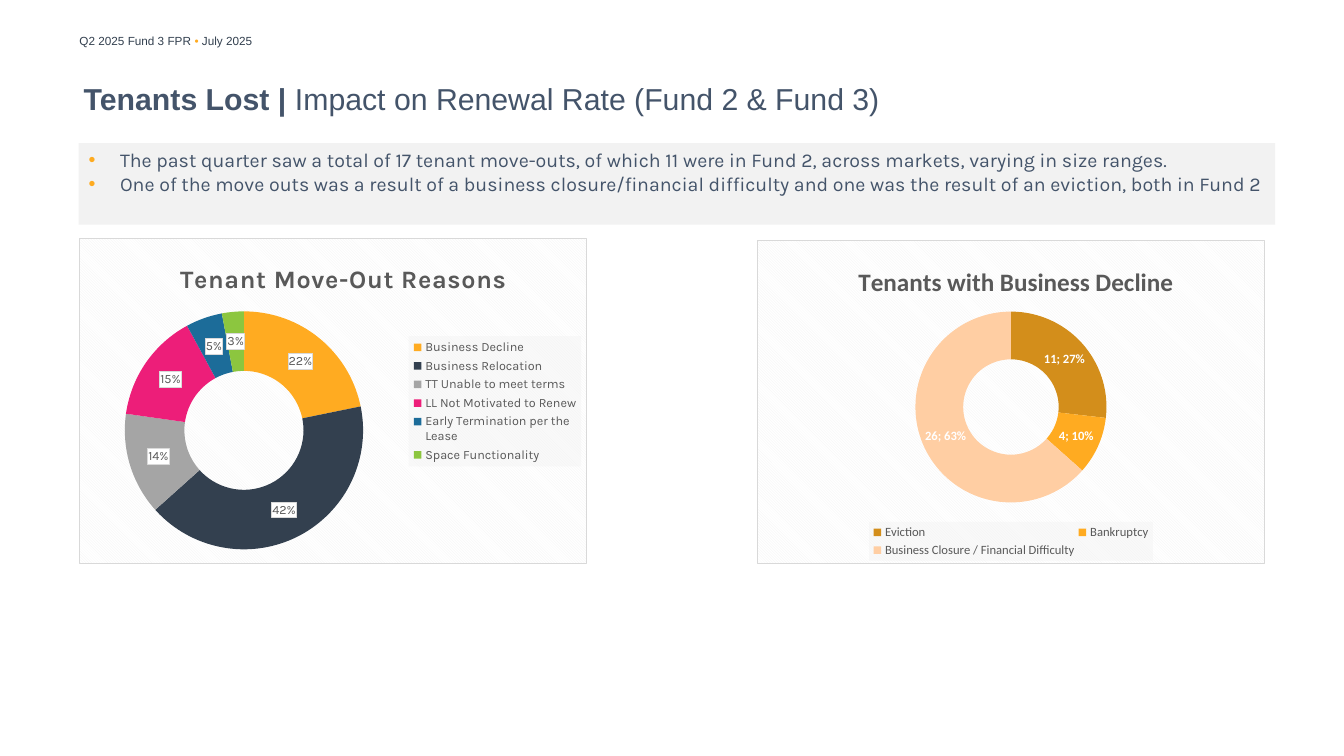
from lxml import etree
from pptx import Presentation
from pptx.chart.data import CategoryChartData
from pptx.dml.color import RGBColor
from pptx.enum.chart import XL_CHART_TYPE, XL_LEGEND_POSITION
from pptx.enum.dml import MSO_PATTERN
from pptx.enum.shapes import MSO_SHAPE
from pptx.enum.text import MSO_ANCHOR, PP_ALIGN
from pptx.oxml import parse_xml
from pptx.oxml.ns import nsdecls, qn
from pptx.util import Pt

RING = XL_CHART_TYPE.DOUGHNUT
RIGHT, BOTTOM = XL_LEGEND_POSITION.RIGHT, XL_LEGEND_POSITION.BOTTOM
HATCH = MSO_PATTERN.DARK_DOWNWARD_DIAGONAL
RECT = MSO_SHAPE.RECTANGLE
TOP, MIDDLE = MSO_ANCHOR.TOP, MSO_ANCHOR.MIDDLE
LEFT = PP_ALIGN.LEFT

HEX = {
    "navy": "33404F", "slate": "44546A", "amber": "FFAB21", "dot": "FEAB21",
    "pale": "F2F2F2", "white": "FFFFFF", "text": "595959", "edge": "D9D9D9",
    "gray": "A5A5A5", "pink": "ED1E79", "blue": "1C6C99", "green": "8CC63F",
    "ochre": "D38E1B", "peach": "FFCEA3",
}


def rgb(name):
    return RGBColor.from_string(HEX[name])


def style(font, size, color, face, bold=False):
    font.size, font.name, font.bold = Pt(size), face, bold
    font.color.rgb = rgb(color)


def write(para, text, size=14, color="slate", face="Arial", bold=False):
    run = para.add_run()
    run.text = text
    style(run.font, size, color, face, bold)
    return run


def add_box(slide, left, top, width, height, inset=True, anchor=TOP):
    box = slide.shapes.add_textbox(Pt(left), Pt(top), Pt(width), Pt(height))
    frame = box.text_frame
    frame.word_wrap = True
    frame.vertical_anchor = anchor
    if not inset:
        frame.margin_left = frame.margin_right = Pt(0)
        frame.margin_top = frame.margin_bottom = Pt(0)
    return frame.paragraphs[0]


def add_bullet(para):
    props = para._p.get_or_add_pPr()
    props.set("marL", str(Pt(22.5)))
    props.set("indent", str(-Pt(22.5)))
    color = etree.SubElement(props, qn("a:buClr"))
    etree.SubElement(color, qn("a:srgbClr")).set("val", HEX["dot"])
    etree.SubElement(props, qn("a:buFont")).set("typeface", "Arial")
    etree.SubElement(props, qn("a:buChar")).set("char", "•")


def add_panel(slide, lines):
    panel = slide.shapes.add_shape(RECT, Pt(56.2), Pt(102.2), Pt(854.6), Pt(58.3))
    panel.shadow.inherit = False
    panel.fill.solid()
    panel.fill.fore_color.rgb = rgb("pale")
    panel.line.fill.background()
    frame = panel.text_frame
    frame.word_wrap = True
    frame.vertical_anchor = TOP
    for i, line in enumerate(lines):
        para = frame.add_paragraph() if i else frame.paragraphs[0]
        para.alignment = LEFT
        add_bullet(para)
        write(para, line, face="Karla")


def place(part, index, inner=False, **spots):
    for old in part.findall(qn("c:layout")):
        part.remove(old)
    target = '<c:layoutTarget val="inner"/>' if inner else ""
    modes = "".join(f'<c:{k}Mode val="edge"/>' for k in "xy" if k in spots)
    sizes = "".join(f'<c:{k} val="{v}"/>' for k, v in spots.items())
    part.insert(index, parse_xml(
        f'<c:layout {nsdecls("c")}><c:manualLayout>{target}{modes}{sizes}'
        '</c:manualLayout></c:layout>'))


def shade(part, color, alpha, edge=""):
    line = f'<a:ln w="9525"><a:solidFill><a:srgbClr val="{edge}"/></a:solidFill></a:ln>' if edge else ""
    part.find(qn("c:txPr")).addprevious(parse_xml(
        f'<c:spPr {nsdecls("c", "a")}><a:solidFill><a:srgbClr val="{HEX[color]}">'
        f'<a:alpha val="{alpha * 1000}"/></a:srgbClr></a:solidFill>{line}</c:spPr>'))


def add_frame(chart):
    props = parse_xml(
        f'<c:spPr {nsdecls("c", "a")}><a:pattFill prst="dkDnDiag">'
        f'<a:fgClr><a:srgbClr val="{HEX["pale"]}"/></a:fgClr>'
        f'<a:bgClr><a:srgbClr val="{HEX["white"]}"/></a:bgClr></a:pattFill>'
        f'<a:ln w="9525"><a:solidFill><a:srgbClr val="{HEX["edge"]}"/></a:solidFill></a:ln></c:spPr>')
    chart.element.find(qn("c:chart")).addnext(props)


def add_title(chart, text, face, spread, spot):
    title = chart.chart_title
    run = write(title.text_frame.paragraphs[0], text, 18, "text", face, True)
    run.font._element.set("spc", str(spread))
    place(title._element, 1, **spot)
    title.include_in_layout = False


def add_legend(chart, side, face, spot):
    chart.has_legend = True
    legend = chart.legend
    legend.position = side
    legend.include_in_layout = False
    style(legend.font, 9, "text", face)
    place(legend._element, 1, **spot)
    shade(legend._element, "pale", 39)


def add_labels(series, face, count):
    labels = series.data_labels
    labels.show_percentage = True
    labels.show_value = count
    style(labels.font, 9, "white" if count else "text", face, count)
    if count:
        mark = parse_xml(f'<c:separator {nsdecls("c")}>; </c:separator>')
        labels._element.find(qn("c:showBubbleSize")).addnext(mark)
    else:
        labels.number_format = "0%"
        labels.number_format_is_linked = False
        shade(labels._element, "white", 100, HEX["edge"])


def add_ring(slide, bounds, title, slices, face, side, hole, spots, spread=0, count=False):
    data = CategoryChartData()
    data.categories = [name for name, _, _ in slices]
    data.add_series("Series 1", [value for _, value, _ in slices])
    chart = slide.shapes.add_chart(RING, *map(Pt, bounds), data).chart
    style(chart.font, 10, "text", face)
    add_frame(chart)
    add_title(chart, title, face, spread, spots["title"])
    add_legend(chart, side, face, spots["legend"])
    plot = chart.plots[0]
    plot.vary_by_categories = True
    plot._element.find(qn("c:holeSize")).set("val", str(hole))
    place(plot._element.getparent(), 0, True, **spots["plot"])
    series = plot.series[0]
    for i, (_, _, color) in enumerate(slices):
        look = series.points[i].format
        look.fill.solid()
        look.fill.fore_color.rgb = rgb(color)
        look.line.fill.background()
    add_labels(series, face, count)


def main():
    deck = Presentation()
    deck.slide_width, deck.slide_height = Pt(960), Pt(540)
    slide = deck.slides.add_slide(deck.slide_layouts[6])

    head = add_box(slide, 49.7, 20.9, 324.7, 17.3)
    for text, color in (("Q2 2025 Fund 3 FPR ", "navy"), ("• ", "amber"), ("July 2025", "navy")):
        write(head, text, size=8.4, color=color)
    title = add_box(slide, 59.8, 43.2, 793.4, 54, inset=False, anchor=MIDDLE)
    write(title, "Tenants Lost | ", size=21.6, bold=True)
    write(title, "Impact on Renewal Rate (Fund 2 & Fund 3)", size=21.6)

    add_panel(slide, (
        "The past quarter saw a total of 17 tenant move-outs, of which 11 were in Fund 2, "
        "across markets, varying in size ranges.",
        "One of the move outs was a result of a business closure/financial difficulty "
        "and one was the result of an eviction, both in Fund 2"))

    reasons = (
        ("Business Decline", 22, "amber"), ("Business Relocation", 42, "navy"),
        ("TT Unable to meet terms", 14, "gray"), ("LL Not Motivated to Renew", 15, "pink"),
        ("Early Termination per the Lease", 5, "blue"), ("Space Functionality", 3, "green"))
    add_ring(slide, (56.2, 169.9, 362.9, 233.3), "Tenant Move-Out Reasons", reasons,
             "Karla", RIGHT, 50, spread=50, spots={
                 "title": dict(x=0.19, y=0.06),
                 "legend": dict(x=0.65, y=0.3, w=0.34, h=0.4),
                 "plot": dict(x=0.09, y=0.22, w=0.47, h=0.74)})

    declines = (("Eviction", 11, "ochre"), ("Bankruptcy", 4, "amber"),
                ("Business Closure / Financial Difficulty", 26, "peach"))
    add_ring(slide, (540.7, 171.4, 362.9, 231.8), "Tenants with Business Decline", declines,
             "Calibri", BOTTOM, 70, count=True, spots={
                 "title": dict(x=0.19, y=0.06),
                 "legend": dict(x=0.22, y=0.87, w=0.56, h=0.12),
                 "plot": dict(x=0.31, y=0.22, w=0.38, h=0.59)})
    deck.save("out.pptx")


if __name__ == "__main__":
    main()
